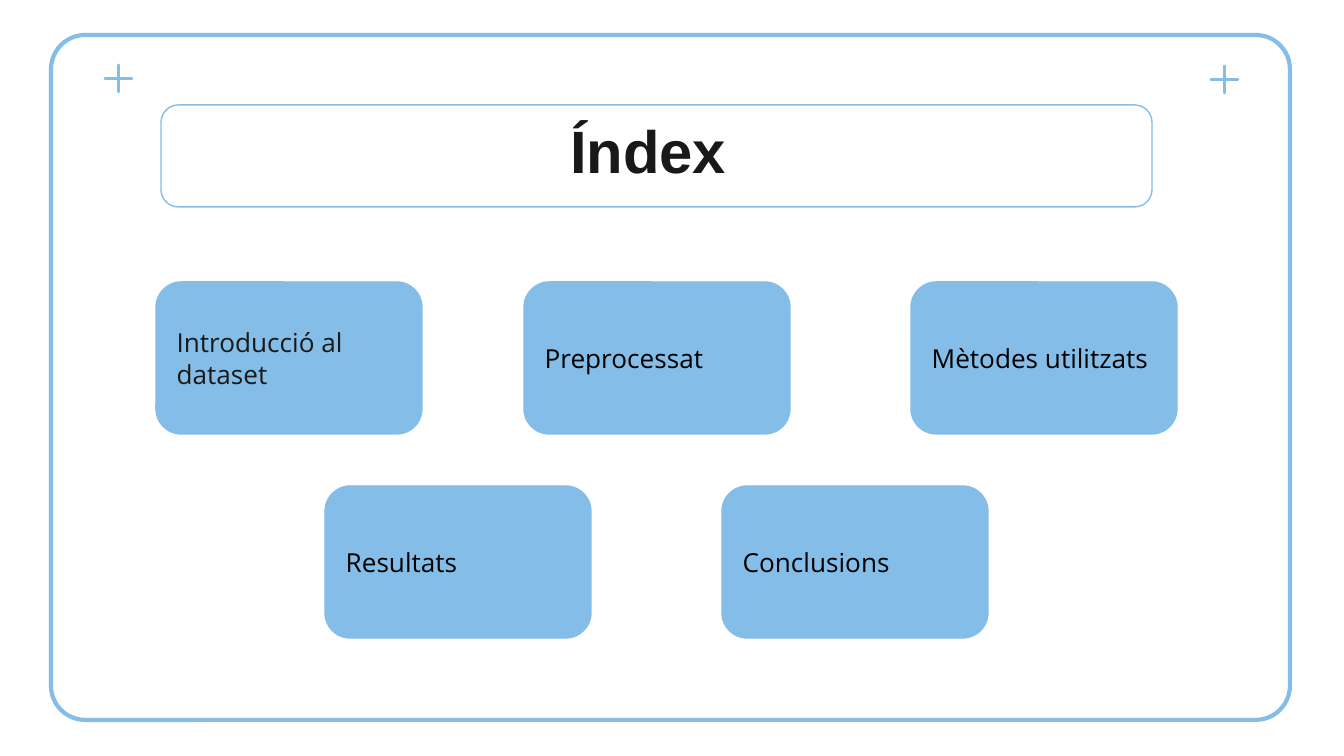
from pptx import Presentation, util as u
from pptx.dml.color import RGBColor
from pptx.enum import shapes, text

COLORS = {"blue": "84BDE7", "ink": "191919", "black": "000000"}
PX = u.Inches(1) / 134.4  # EMU in one px


def px(*lengths):
    return [u.Emu(round(n * PX)) for n in lengths]


class Deck:
    heading_font, body_font = "Arial", "Open Sans"
    inset = u.Inches(0.1)

    def __init__(self, width, height):
        self.prs = Presentation()
        self.prs.slide_width, self.prs.slide_height = px(width, height)
        self.s = self.prs.slides.add_slide(self.prs.slide_layouts[6])

    def color(self, name):
        return RGBColor.from_string(COLORS[name])

    def shape(self, kind, box, adj, line, filled=False):
        sp = self.s.shapes.add_shape(kind, *px(*box))
        sp.adjustments[0] = adj
        sp.shadow.inherit = False
        if filled:
            sp.fill.solid()
            sp.fill.fore_color.rgb = self.color("blue")
        else:
            sp.fill.background()
        sp.line.color.rgb = self.color("blue")
        sp.line.width = u.Pt(line)
        return sp

    def frame(self, box, adj, line):
        self.shape(shapes.MSO_SHAPE.ROUNDED_RECTANGLE, box, adj, line)

    def plus(self, x, y, size=27):
        self.shape(shapes.MSO_SHAPE.STAR_4_POINT, (x, y, size, size), 0, 1.5, True)

    def label(self, sp, words, font, size, color, align, anchor, bold=False):
        tf = sp.text_frame
        tf.word_wrap = True
        tf.vertical_anchor = anchor
        tf.margin_left = tf.margin_right = self.inset
        tf.margin_top = tf.margin_bottom = self.inset
        tf.text = words
        p = tf.paragraphs[0]
        p.alignment = align
        r = p.runs[0]
        r.font.name, r.font.size, r.font.bold = font, u.Pt(size), bold
        r.font.color.rgb = self.color(color)

    def title(self, box, words):
        sp = self.s.shapes.add_textbox(*px(*box))
        self.label(sp, words, self.heading_font, 32, "ink",
                   text.PP_ALIGN.CENTER, text.MSO_ANCHOR.BOTTOM, True)

    def card(self, x, y, words, color="black"):
        sp = self.shape(shapes.MSO_SHAPE.ROUNDED_RECTANGLE,
                        (x, y, 266, 152), 0.167, 0.75, True)
        self.label(sp, words, self.body_font, 14, color,
                   text.PP_ALIGN.LEFT, text.MSO_ANCHOR.MIDDLE)


def main():
    deck = Deck(1344, 756)

    # Slide border and corner marks
    deck.frame((51, 35, 1239, 685), 0.05, 2.25)
    deck.plus(105, 65)
    deck.plus(1211, 66)

    # Title in its outline
    deck.title((90, 114, 1133, 85), "Índex ")
    deck.frame((161, 105, 991, 102), 0.17, 0.75)

    # Index cards, three above two
    top, bottom = 282, 486
    deck.card(156, top, "Introducció al dataset", "ink")
    deck.card(524, top, "Preprocessat")
    deck.card(911, top, "Mètodes utilitzats")
    deck.card(325, bottom, "Resultats")
    deck.card(722, bottom, "Conclusions")

    deck.prs.save("out.pptx")


if __name__ == "__main__":
    main()
